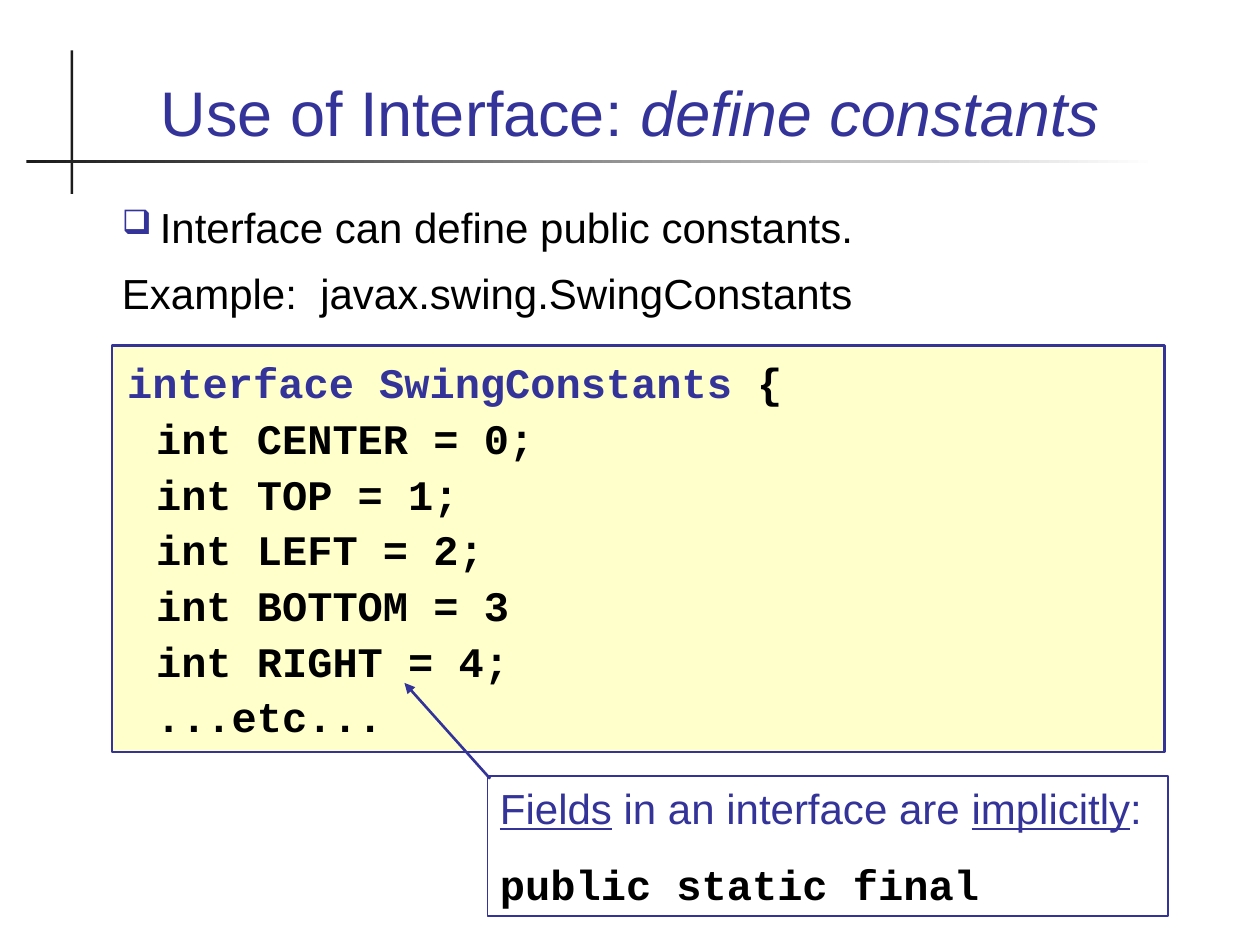
from pptx import Presentation
from pptx.dml.color import RGBColor
from pptx.enum.shapes import MSO_CONNECTOR, MSO_SHAPE
from pptx.enum.text import MSO_ANCHOR, PP_ALIGN
from pptx.oxml.ns import qn
from pptx.util import Inches, Pt
from lxml.etree import SubElement

COLS, ROWS = 100, 75
COLORS = {
    "ink": "333399",
    "text": "000000",
    "rule": "1C1C1C",
    "paper": "FFFFFF",
    "code": "FFFFCC",
}
SANS, MONO = "Arial", "Courier New"


def rgb(name):
    return RGBColor.from_string(COLORS[name])


class Deck:
    """Slide style plus the current slide; places are grid columns and rows."""

    def __init__(self):
        self.prs = Presentation()
        self.prs.slide_width, self.prs.slide_height = Inches(10), Inches(7.5)
        self.slide = self.prs.slides.add_slide(self.prs.slide_layouts[6])

    def place(self, x, y):
        return (int(self.prs.slide_width * x / COLS),
                int(self.prs.slide_height * y / ROWS))

    def rect(self, x, y, w, h, fill=None, line=None, width=1.5):
        sp = self.slide.shapes.add_shape(
            MSO_SHAPE.RECTANGLE, *self.place(x, y), *self.place(w, h))
        sp.shadow.inherit = False
        if fill:
            sp.fill.solid()
            sp.fill.fore_color.rgb = rgb(fill)
        else:
            sp.fill.background()
        if line:
            sp.line.color.rgb = rgb(line)
            sp.line.width = Pt(width)
        else:
            sp.line.fill.background()
        return sp

    def fading_rule(self, x, y, w, h):
        sp = self.rect(x, y, w, h)
        sp.fill.gradient()
        sp.fill.gradient_angle = 0
        for stop, color, pos in zip(sp.fill.gradient_stops, ("rule", "paper"), (0, 1)):
            stop.color.rgb = rgb(color)
            stop.position = pos

    def textbox(self, x, y, w, h):
        return self.slide.shapes.add_textbox(*self.place(x, y), *self.place(w, h))

    def set_text(self, sp, paragraphs, size=24, gap=0, align=PP_ALIGN.LEFT,
                 anchor=MSO_ANCHOR.TOP, lead=0):
        """Fill sp; a paragraph is (left, indent, bullet, runs), a run (text, font, color, style)."""
        tf = sp.text_frame
        tf.word_wrap = True
        tf.vertical_anchor = anchor
        tf.margin_top = Inches(0.05) + Pt(lead)
        for i, (left, indent, bullet, runs) in enumerate(paragraphs):
            p = tf.add_paragraph() if i else tf.paragraphs[0]
            p.alignment = align
            if i:
                p.space_before = Pt(gap)
            pPr = p._p.get_or_add_pPr()
            pPr.set("marL", str(Inches(left)))
            pPr.set("indent", str(Inches(indent)))
            if bullet:
                clr = SubElement(pPr, qn("a:buClr"))
                SubElement(clr, qn("a:srgbClr"), val=COLORS["ink"])
                SubElement(pPr, qn("a:buSzPct"), val="80000")
                SubElement(pPr, qn("a:buChar"), char=bullet)
            for text, font, color, *style in runs:
                r = p.add_run()
                r.text = text
                r.font.name, r.font.size = font, Pt(size)
                r.font.color.rgb = rgb(color)
                for name in style:
                    setattr(r.font, name, True)

    def arrow(self, start, end, color="ink", width=1.5):
        cx = self.slide.shapes.add_connector(
            MSO_CONNECTOR.STRAIGHT, *self.place(*start), *self.place(*end))
        cx.line.color.rgb = rgb(color)
        cx.line.width = Pt(width)
        spPr = cx._element.spPr
        SubElement(spPr.find(qn("a:ln")), qn("a:tailEnd"), type="triangle")
        SubElement(spPr, qn("a:effectLst"))


def main():
    deck = Deck()
    deck.rect(5.6, 4, 0.2, 11.4, fill="rule")
    deck.fading_rule(2.1, 12.7, 89.8, 0.2)

    title = [("Use of Interface: ", SANS, "ink"),
             ("define constants", SANS, "ink", "italic")]
    deck.set_text(deck.textbox(6.7, 2.8, 86.6, 9.5), [(0, 0, None, title)],
                  size=36, align=PP_ALIGN.CENTER, anchor=MSO_ANCHOR.BOTTOM)

    header = [("interface SwingConstants", MONO, "ink", "bold"),
              (" {", MONO, "text", "bold")]
    members = ["int CENTER = 0;", "int TOP = 1;", "int LEFT = 2;",
               "int BOTTOM = 3", "int RIGHT = 4;", "...etc..."]
    code = [(0.02, 0, None, header)]
    code += [(0.25, 0, None, [(m, MONO, "text", "bold")]) for m in members]
    deck.set_text(deck.rect(8.9, 27.4, 83.5, 32.3, fill="code", line="ink"),
                  code, gap=3, lead=3)

    intro = [(0.3, -0.3, "❑", [("Interface can define public constants.", SANS, "text")]),
             (0, 0, None, [("Example:  javax.swing.SwingConstants", SANS, "text")])]
    deck.set_text(deck.textbox(8.7, 15.5, 82.6, 10.3), intro, gap=9)

    deck.arrow((38.9, 61.8), (32.1, 54.2))

    fields = [("Fields", SANS, "ink", "underline"),
              (" in an interface are ", SANS, "ink"),
              ("implicitly", SANS, "ink", "underline"),
              (":", SANS, "ink")]
    modifiers = [("public static final", MONO, "text", "bold")]
    deck.set_text(deck.rect(38.7, 61.6, 54, 11.1, line="ink", width=0.75),
                  [(0, 0, None, fields), (0, 0, None, modifiers)], gap=15)

    deck.prs.save("out.pptx")


if __name__ == "__main__":
    main()
